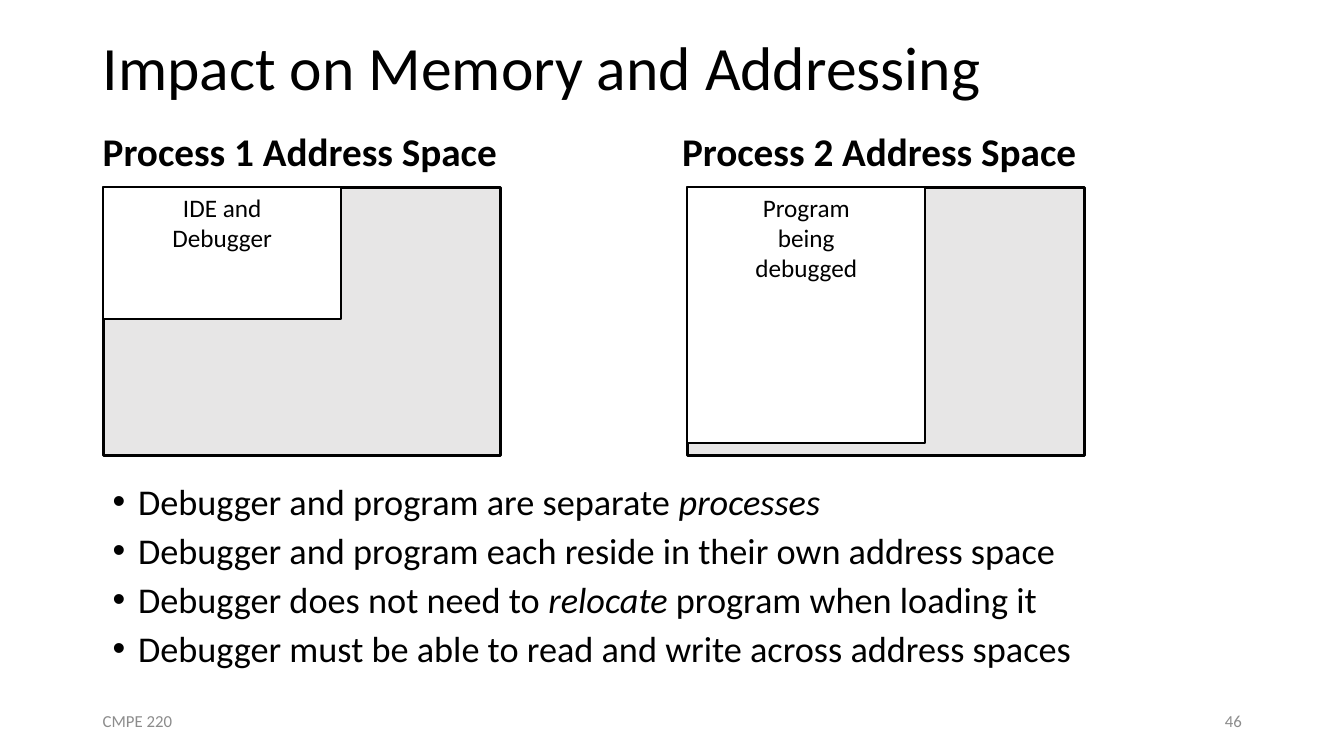
from dataclasses import dataclass

from lxml.etree import SubElement
from pptx import Presentation
from pptx.dml.color import RGBColor
from pptx.enum.shapes import MSO_SHAPE
from pptx.enum.text import MSO_ANCHOR, PP_ALIGN
from pptx.oxml.ns import qn
from pptx.util import Cm, Pt


@dataclass(frozen=True)
class Theme:
    font: str = "Calibri"
    ink: str = "000000"
    muted: str = "8C8C8C"
    free_memory: str = "E7E6E6"
    used_memory: str = "FFFFFF"
    title: float = 44
    heading: float = 28
    bullet: float = 25.9
    label: float = 18
    footer: float = 12


class SlideBuilder:
    def __init__(self, slide, theme):
        self.slide = slide
        self.theme = theme

    def format_runs(self, paragraph, size, color, bold=False):
        for run in paragraph.runs:
            run.font.name = self.theme.font
            run.font.size = Pt(size)
            run.font.bold = bold
            run.font.color.rgb = RGBColor.from_string(color)

    def text_box(self, left, top, width, height):
        frame = self.slide.shapes.add_textbox(
            Cm(left), Cm(top), Cm(width), Cm(height)).text_frame
        frame.word_wrap = True
        return frame

    def title(self, text, left, top, width, height):
        title = self.slide.shapes.title
        title.left, title.top = Cm(left), Cm(top)
        title.width, title.height = Cm(width), Cm(height)
        frame = title.text_frame
        frame.text = text
        frame.vertical_anchor = MSO_ANCHOR.MIDDLE
        heading = frame.paragraphs[0]
        heading.alignment = PP_ALIGN.LEFT
        heading.line_spacing = 0.9
        self.format_runs(heading, self.theme.title, self.theme.ink)

    def heading(self, text, left, top, width, height):
        frame = self.text_box(left, top, width, height)
        frame.text = text
        heading = frame.paragraphs[0]
        heading.line_spacing = 0.9
        heading.space_before = Pt(10)
        self.format_runs(heading, self.theme.heading, self.theme.ink, bold=True)

    def memory_block(self, left, top, width, height, fill, border, label=""):
        block = self.slide.shapes.add_shape(
            MSO_SHAPE.RECTANGLE, Cm(left), Cm(top), Cm(width), Cm(height))
        block.shadow.inherit = False
        block.fill.solid()
        block.fill.fore_color.rgb = RGBColor.from_string(fill)
        block.line.color.rgb = RGBColor.from_string(self.theme.ink)
        block.line.width = Pt(border)
        if label:
            frame = block.text_frame
            frame.text = label
            frame.vertical_anchor = MSO_ANCHOR.TOP
            for paragraph in frame.paragraphs:
                paragraph.alignment = PP_ALIGN.CENTER
                self.format_runs(paragraph, self.theme.label, self.theme.ink)

    def bullets(self, points, left, top, width, height):
        frame = self.text_box(left, top, width, height)
        for index, parts in enumerate(points):
            point = frame.add_paragraph() if index else frame.paragraphs[0]
            point.line_spacing = 0.8
            point.space_before = Pt(10)
            for position, part in enumerate(parts):
                run = point.add_run()
                run.text = part
                run.font.italic = position % 2 == 1
            self.format_runs(point, self.theme.bullet, self.theme.ink)
            properties = point._p.get_or_add_pPr()
            properties.set("marL", str(Cm(0.64)))
            properties.set("indent", str(Cm(-0.64)))
            SubElement(properties, qn("a:buFont")).set("typeface", "Arial")
            SubElement(properties, qn("a:buChar")).set("char", "•")

    def footer(self, text, left, alignment):
        frame = self.text_box(left, 17.65, 7.62, 1.01)
        frame.text = text
        frame.vertical_anchor = MSO_ANCHOR.MIDDLE
        footer = frame.paragraphs[0]
        footer.alignment = alignment
        self.format_runs(footer, self.theme.footer, self.theme.muted)


def main():
    presentation = Presentation()
    presentation.slide_width, presentation.slide_height = Cm(33.87), Cm(19.05)
    theme = Theme()
    slide = presentation.slides.add_slide(presentation.slide_layouts[5])
    builder = SlideBuilder(slide, theme)

    builder.title("Impact on Memory and Addressing", 2.34, 0.03, 29.21, 3.5)

    processes = [
        ("Process 1 Address Space", 2.34, 2.6, "IDE and\vDebugger", 3.33),
        ("Process 2 Address Space", 16.94, 17.32, "Program\nbeing\ndebugged", 6.45),
    ]
    for heading, heading_left, left, program, program_height in processes:
        builder.memory_block(left, 4.72, 10.02, 6.77, theme.free_memory, 2.25)
        builder.memory_block(left, 4.72, 6, program_height,
                             theme.used_memory, 1.5, program)
        builder.heading(heading, heading_left, 3.23, 12, 1.4)

    builder.bullets([
        ("Debugger and program are separate ", "processes"),
        ("Debugger and program each reside in their own address space",),
        ("Debugger does not need to ", "relocate", " program when loading it"),
        ("Debugger must be able to read and write across address spaces",),
    ], 2.59, 12.17, 28.93, 4.98)

    builder.footer("CMPE 220", 2.34, PP_ALIGN.LEFT)
    builder.footer("46", 23.93, PP_ALIGN.RIGHT)
    presentation.save("out.pptx")


if __name__ == "__main__":
    main()
